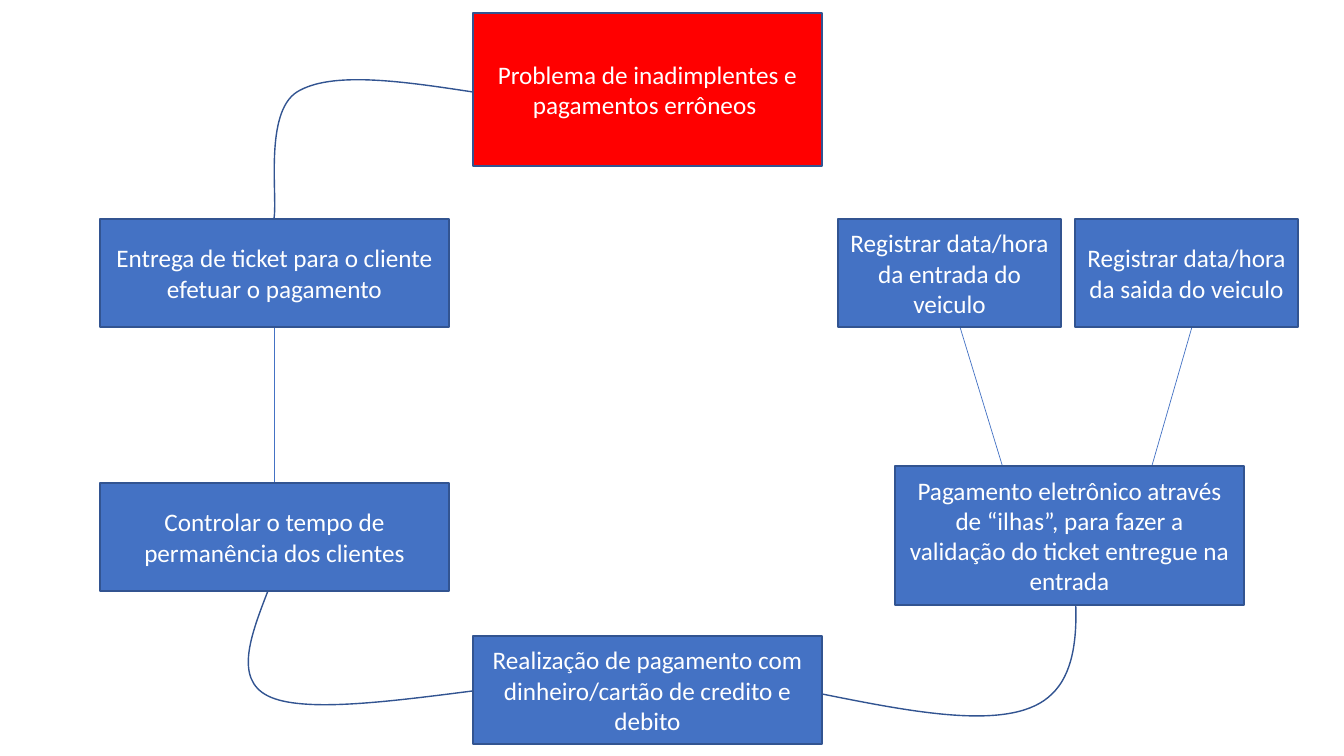
from pptx import Presentation
from pptx.util import Pt
from pptx.dml.color import RGBColor
from pptx.enum.shapes import MSO_CONNECTOR, MSO_SHAPE
from pptx.enum.text import MSO_ANCHOR, PP_ALIGN
from pptx.oxml.ns import qn
from lxml import etree

RECT = MSO_SHAPE.RECTANGLE
LINE = MSO_CONNECTOR.STRAIGHT
MIDDLE = MSO_ANCHOR.MIDDLE
CENTER = PP_ALIGN.CENTER
SCALE = 914400 / 100.8

COLORS = {"blue": "4472C4", "edge": "325491", "red": "FF0000", "white": "FFFFFF"}
FONT = {"name": "Calibri", "size": Pt(18)}
FRAME = {"word_wrap": True, "vertical_anchor": MIDDLE}

# Shared columns, rows and sizes
LEFT, MID = 100, 473
WIDE, SLIM, HIGH = 349, 223, 108
TOP, LOW = 219, 483
BASE = TOP + HIGH
AXIS = 274

# Left, top, width, height, fill, text
BOXES = [
    (MID, 13, WIDE, 153, "red", "Problema de inadimplentes e pagamentos errôneos "),
    (LEFT, TOP, WIDE, HIGH, "blue",
     "Entrega de ticket para o cliente efetuar o pagamento"),
    (LEFT, LOW, WIDE, HIGH, "blue", "Controlar o tempo de permanência dos clientes"),
    (MID, 636, WIDE, HIGH, "blue",
     "Realização de pagamento com dinheiro/cartão de credito e debito"),
    (895, 466, WIDE, 139, "blue",
     "Pagamento eletrônico através de “ilhas”, para fazer a validação "
     "do ticket entregue na entrada"),
    (838, TOP, SLIM, HIGH, "blue", "Registrar data/hora da entrada do veiculo"),
    (1075, TOP, SLIM, HIGH, "blue", "Registrar data/hora da saida do veiculo"),
]

# Start point, then three points for each Bezier segment
CURVES = [
    [(MID, 92), (401, 81), (331, 71), (297, 92), (264, 113), (278, 197), (AXIS, TOP)],
    [(268, 591), (251, 635), (234, 679), (268, 696), (302, 713), (387, 702), (MID, 691)],
    [(822, 694), (917, 713), (1014, 732), (1052, 694), (1092, 656), (1074, 560),
     (1055, 466)],
]

LINKS = [
    (AXIS, BASE, AXIS, LOW),
    (960, BASE, 1033, 566),
    (1192, BASE, 1147, LOW),
]


def px(val):
    return round(val * SCALE)


def rgb(key):
    return RGBColor.from_string(COLORS[key])


def style(item, vals):
    for key, val in vals.items():
        setattr(item, key, val)


def stroke(line, color, width):
    line.color.rgb = rgb(color)
    line.width = Pt(width)


def add_box(slide, left, top, width, height, fill, text):
    box = slide.shapes.add_shape(RECT, px(left), px(top), px(width), px(height))
    box.shadow.inherit = False
    box.fill.solid()
    box.fill.fore_color.rgb = rgb(fill)
    stroke(box.line, "edge", 1)
    frame = box.text_frame
    style(frame, FRAME)
    para = frame.paragraphs[0]
    para.alignment = CENTER
    run = para.add_run()
    run.text = text
    style(run.font, FONT)
    run.font.color.rgb = rgb("white")


def add_curve(slide, points):
    pen = slide.shapes.build_freeform(*points[0], scale=SCALE)
    pen.add_line_segments(points[1:], close=False)
    curve = pen.convert_to_shape()
    curve.shadow.inherit = False
    curve.fill.background()
    stroke(curve.line, "edge", 1)
    # Join each three straight steps into one Bezier segment
    steps = list(curve.element.iter(qn("a:lnTo")))
    for start in range(0, len(steps), 3):
        trio = steps[start:start + 3]
        bend = etree.Element(qn("a:cubicBezTo"))
        trio[0].addprevious(bend)
        for step in trio:
            bend.append(step[0])
            step.getparent().remove(step)


def add_link(slide, *ends):
    link = slide.shapes.add_connector(LINE, *map(px, ends))
    stroke(link.line, "blue", 0.5)
    etree.SubElement(link.element.spPr, qn("a:effectLst"))


def main():
    deck = Presentation()
    deck.slide_width, deck.slide_height = px(1344), px(756)
    slide = deck.slides.add_slide(deck.slide_layouts[6])

    # Lines go behind the boxes
    for points in CURVES:
        add_curve(slide, points)
    for ends in LINKS:
        add_link(slide, *ends)
    for box in BOXES:
        add_box(slide, *box)

    deck.save("out.pptx")


main()
